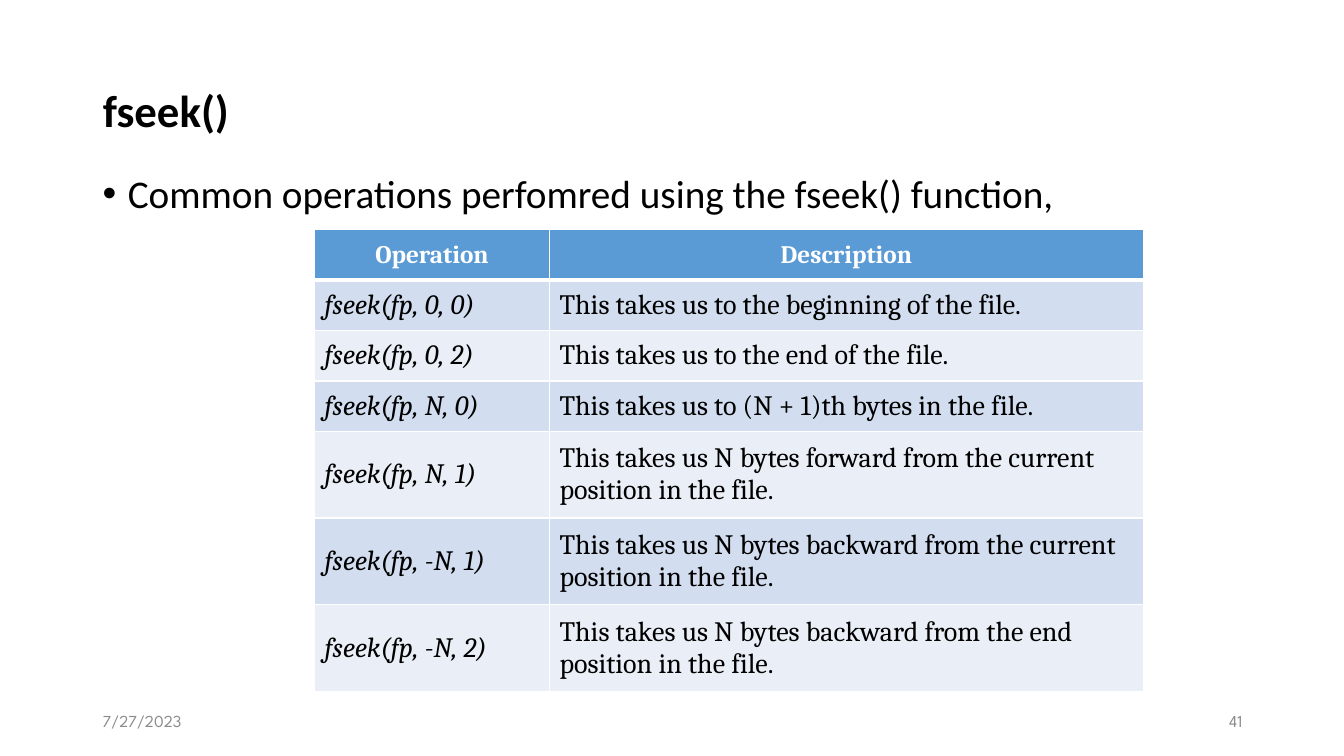
from lxml import etree
from pptx import Presentation
from pptx import util as u
from pptx.dml.color import RGBColor
from pptx.enum import text
from pptx.oxml import ns

BLACK = RGBColor(0x00, 0x00, 0x00)
WHITE = RGBColor(0xFF, 0xFF, 0xFF)
GREY = RGBColor(0x8C, 0x8C, 0x8C)
HEADER = RGBColor(0x5B, 0x9B, 0xD5)
BANDS = [RGBColor(0xEA, 0xEF, 0xF7), RGBColor(0xD2, 0xDE, 0xEF)]
LEFT, MIDDLE = text.PP_ALIGN.LEFT, text.MSO_ANCHOR.MIDDLE
CENTER, RIGHT = text.PP_ALIGN.CENTER, text.PP_ALIGN.RIGHT
MARGIN, CONTENT_W = 0.92, 11.5


def put_text(tf, words, size, font="Calibri", color=BLACK, bold=False,
             italic=False, align=LEFT, anchor=MIDDLE, spacing=None):
    tf.word_wrap = True
    tf.vertical_anchor = anchor
    p = tf.paragraphs[0]
    p.alignment = align
    if spacing:
        p.line_spacing = spacing
    r = p.add_run()
    r.text = words
    r.font.size, r.font.name = u.Pt(size), font
    r.font.bold, r.font.italic = bold, italic
    r.font.color.rgb = color
    return p


def add_border(cell, side, width):
    ln = etree.SubElement(cell._tc.get_or_add_tcPr(), ns.qn("a:ln" + side),
                          w=str(u.Pt(width)))
    fill = etree.SubElement(ln, ns.qn("a:solidFill"))
    etree.SubElement(fill, ns.qn("a:srgbClr"), val=str(WHITE))


prs = Presentation()
prs.slide_width, prs.slide_height = u.Inches(13.33), u.Inches(7.5)
s = prs.slides.add_slide(prs.slide_layouts[5])

# Title
title = s.shapes.title
title.left, title.top = u.Inches(MARGIN), u.Inches(0.4)
title.width, title.height = u.Inches(CONTENT_W), u.Inches(1.45)
put_text(title.text_frame, "fseek()", 32, bold=True, spacing=0.9)

# Bulleted introduction
body = s.shapes.add_textbox(u.Inches(MARGIN), u.Inches(1.68),
                            u.Inches(CONTENT_W), u.Inches(5.08))
p = put_text(body.text_frame,
             "Common operations perfomred using the fseek() function,", 28,
             anchor=text.MSO_ANCHOR.TOP, spacing=0.9)
p.space_before = u.Pt(10)
pPr = p._p.get_or_add_pPr()
pPr.set("marL", str(u.Inches(0.25)))
pPr.set("indent", str(-u.Inches(0.25)))
etree.SubElement(pPr, ns.qn("a:buFont"), typeface="Arial")
etree.SubElement(pPr, ns.qn("a:buChar"), char="•")

# Date and slide number
FOOTER_W = 3
for words, left, align in [("7/27/2023", MARGIN, LEFT),
                           ("41", MARGIN + CONTENT_W - FOOTER_W, RIGHT)]:
    footer = s.shapes.add_textbox(u.Inches(left), u.Inches(6.95),
                                  u.Inches(FOOTER_W), u.Inches(0.4))
    put_text(footer.text_frame, words, 12, font="League Spartan", color=GREY,
             align=align)

# Table of operations
rows = [
    ("Operation", "Description"),
    ("fseek(fp, 0, 0)", "This takes us to the beginning of the file."),
    ("fseek(fp, 0, 2)", "This takes us to the end of the file."),
    ("fseek(fp, N, 0)", "This takes us to (N + 1)th bytes in the file."),
    ("fseek(fp, N, 1)",
     "This takes us N bytes forward from the current position in the file."),
    ("fseek(fp, -N, 1)",
     "This takes us N bytes backward from the current position in the file."),
    ("fseek(fp, -N, 2)",
     "This takes us N bytes backward from the end position in the file."),
]
col_widths = [2.33, 5.89]
row_heights = [0.5] * 4 + [0.86] * 3
table = s.shapes.add_table(len(rows), len(col_widths), u.Inches(3.12),
                           u.Inches(2.28), u.Inches(sum(col_widths)),
                           u.Inches(sum(row_heights))).table
for column, width in zip(table.columns, col_widths):
    column.width = u.Inches(width)
for i, (row, height) in enumerate(zip(rows, row_heights)):
    table.rows[i].height = u.Inches(height)
    for j, words in enumerate(row):
        cell = table.cell(i, j)
        head = i == 0
        for side in "LRTB":
            thick = (head and side == "B") or (i == 1 and side == "T")
            add_border(cell, side, 3 if thick else 1)
        cell.fill.solid()
        cell.fill.fore_color.rgb = HEADER if head else BANDS[i % 2]
        cell.vertical_anchor = MIDDLE
        put_text(cell.text_frame, words, 18 if head else 20, font="Cambria",
                 color=WHITE if head else BLACK, bold=head,
                 italic=not head and j == 0, align=CENTER if head else LEFT)

prs.save("out.pptx")
